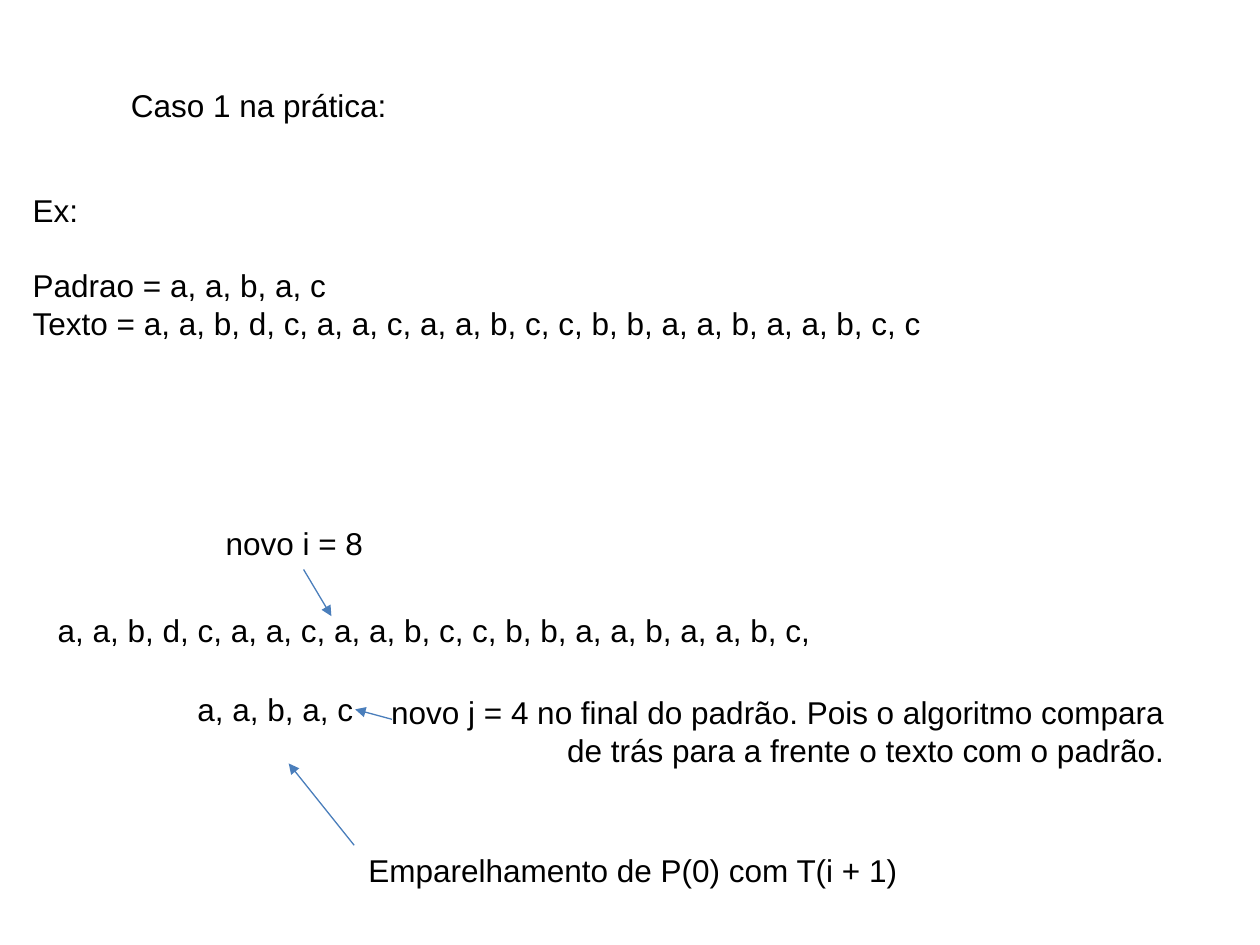
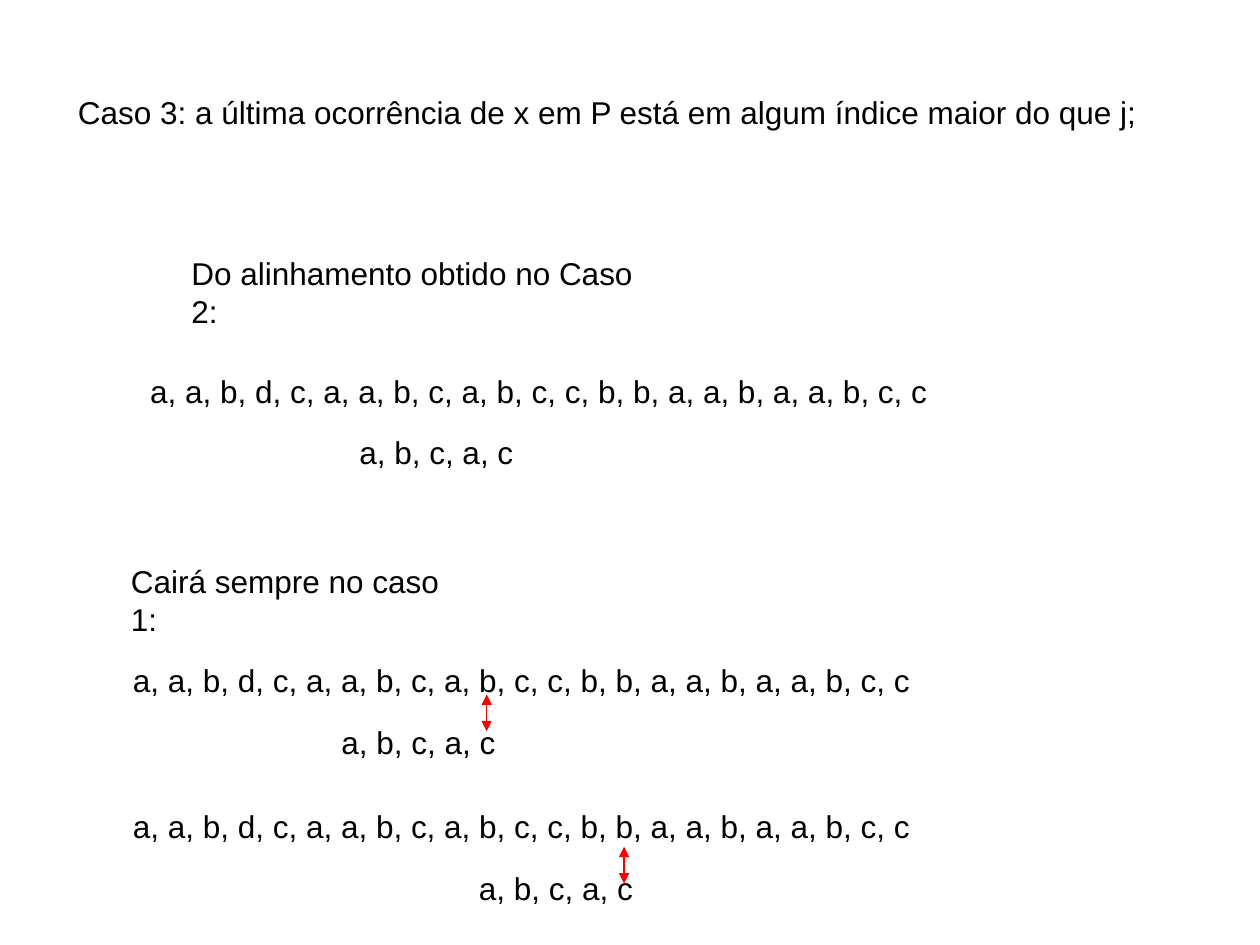
from dataclasses import dataclass

from lxml import etree
from pptx import Presentation
from pptx.dml.color import RGBColor
from pptx.enum.shapes import MSO_CONNECTOR
from pptx.enum.text import MSO_ANCHOR, PP_ALIGN
from pptx.oxml.ns import qn
from pptx.util import Cm, Pt

STRAIGHT = MSO_CONNECTOR.STRAIGHT
TOP = MSO_ANCHOR.TOP
LEFT, RIGHT = PP_ALIGN.LEFT, PP_ALIGN.RIGHT


@dataclass(frozen=True)
class Theme:
    """Hold the colours, font and sizes shared by the slides."""

    font: str = "Arial"
    text_size: float = 18
    line_width: float = 0.75
    text: RGBColor = RGBColor(0x00, 0x00, 0x00)
    pointer: RGBColor = RGBColor(0x4A, 0x7E, 0xBB)
    mismatch: RGBColor = RGBColor(0xFF, 0x00, 0x00)


THEME = Theme()
BLANK_LAYOUT = 6
LINE_HEIGHT = 1.02
LABEL_SLACK = 0.1
PATTERN_DROP = 1.24
MISMATCH_OFFSET = 3.18
MISMATCH_HEIGHT = 0.74
CASE3_TEXT = "a, a, b, d, c, a, a, b, c, a, b, c, c, b, b, a, a, b, a, a, b, c, c"
CASE3_PATTERN = "a, b, c, a, c"


def add_text(slide, lines, left, top, width, height, align=LEFT, wrap=True):
    """Add a text box with one paragraph per line and return its paragraphs."""
    frame = slide.shapes.add_textbox(Cm(left), Cm(top), Cm(width), Cm(height)).text_frame
    frame.word_wrap = wrap
    frame.vertical_anchor = TOP
    for index, line in enumerate(lines):
        paragraph = frame.add_paragraph() if index else frame.paragraphs[0]
        paragraph.alignment = align
        run = paragraph.add_run()
        run.text = line
        run.font.name = THEME.font
        run.font.size = Pt(THEME.text_size)
        run.font.color.rgb = THEME.text
    return frame.paragraphs


def add_label(slide, lines, left, top, width):
    """Add an unwrapped, right-aligned label with slack on its left."""
    add_text(slide, lines, left - LABEL_SLACK, top, width + LABEL_SLACK,
             LINE_HEIGHT * len(lines), RIGHT, False)


def add_arrow(slide, start, end, color, ends=("tailEnd",)):
    """Add a straight arrow with triangles at the given ends."""
    arrow = slide.shapes.add_connector(STRAIGHT, *map(Cm, start + end))
    arrow.line.color.rgb = color
    arrow.line.width = Pt(THEME.line_width)
    line = arrow.line._get_or_add_ln()
    for end_tag in ends:
        etree.SubElement(line, qn(f"a:{end_tag}"), type="triangle")
    etree.SubElement(arrow._element.spPr, qn("a:effectLst"))


def add_alignment(slide, left, top, pattern_left, mismatch_top=None):
    """Place the pattern below the text and mark any mismatch."""
    add_label(slide, [CASE3_TEXT], left, top, 16.21)
    add_label(slide, [CASE3_PATTERN], pattern_left, top + PATTERN_DROP, 3.61)
    if mismatch_top is not None:
        x = pattern_left + MISMATCH_OFFSET
        add_arrow(slide, (x, mismatch_top + MISMATCH_HEIGHT), (x, mismatch_top),
                  THEME.mismatch, ("headEnd", "tailEnd"))


def build_case_1(slide):
    """Show the first case with its new indices."""
    add_text(slide, ["Caso 1 na prática:"], 2.39, 1.6, 15.34, 1.09)
    example = add_text(slide, [
        "Ex:",
        "Padrao = a, a, b, a, c",
        "Texto = a, a, b, d, c, a, a, c, a, a, b, c, c, b, b, a, a, b, a, a, b, c, c",
    ], 0.41, 3.72, 19.35, 3.07)
    example[1].space_before = Pt(21.5)

    labels = [
        (["Emparelhamento de P(0) com T(i + 1)"], 7.19, 17.04, 11.15),
        (["novo i = 8"], 4.29, 10.44, 3.28),
        (["a, a, b, d, c, a, a, c, a, a, b, c, c, b, b, a, a, b, a, a, b, c,"],
         0.89, 12.19, 15.7),
        (["a, a, b, a, c"], 3.71, 13.79, 3.66),
        (["novo j = 4 no final do padrão. Pois o algoritmo compara",
          "de trás para a frente o texto com o padrão."], 7.67, 13.84, 16.05),
    ]
    for label in labels:
        add_label(slide, *label)

    pointers = [
        ((7.14, 17.04), (5.82, 15.39)),
        ((6.12, 11.48), (6.68, 12.42)),
        ((7.9, 14.5), (7.16, 14.3)),
    ]
    for start, end in pointers:
        add_arrow(slide, start, end, THEME.pointer)


def build_case_3(slide):
    """Show the third case and how it falls back to the first."""
    add_text(slide,
             ["Caso 3: a última ocorrência de x em P está em algum índice maior do que j;"],
             1.32, 1.75, 22.3, 1.65)
    add_text(slide, ["Do alinhamento obtido no Caso 2:"], 3.61, 5, 10.08, 0.97)
    add_alignment(slide, 2.74, 7.37, 6.99)
    add_text(slide, ["Cairá sempre no caso 1:"], 2.39, 11.2, 7.3, 0.97)
    add_alignment(slide, 2.39, 13.21, 6.63, 14)
    add_alignment(slide, 2.39, 16.15, 9.4, 17.07)


def main():
    """Build and save the presentation."""
    deck = Presentation()
    deck.slide_width, deck.slide_height = Cm(25.4), Cm(19.05)
    for build in (build_case_1, build_case_3):
        build(deck.slides.add_slide(deck.slide_layouts[BLANK_LAYOUT]))
    deck.save("out.pptx")


if __name__ == "__main__":
    main()
